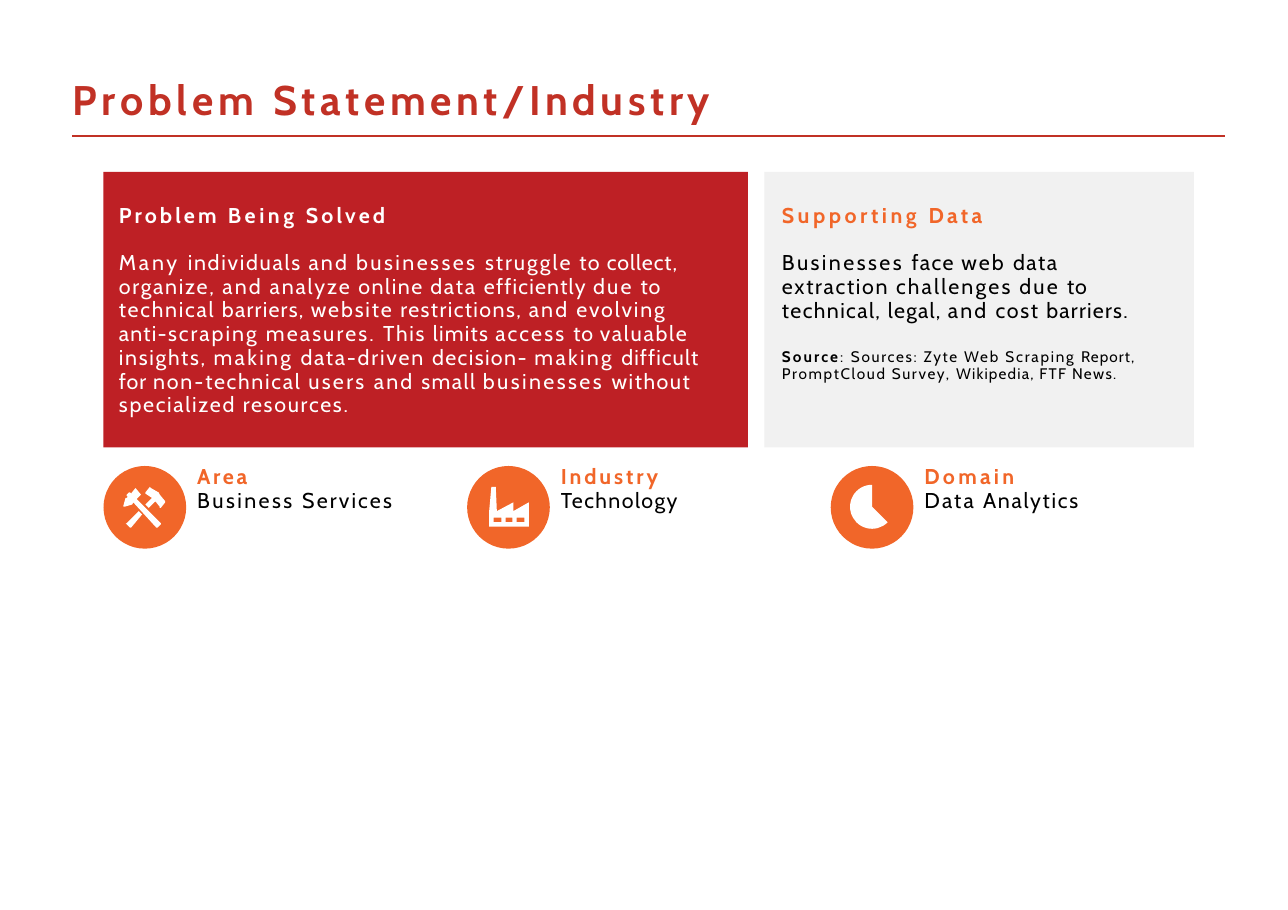
from dataclasses import dataclass
from typing import Optional

from lxml import etree
from pptx import Presentation
from pptx import util as u
from pptx.dml.color import RGBColor
from pptx.enum import shapes, text
from pptx.oxml.ns import qn

TITLE_RED = RGBColor(0xC1, 0x31, 0x25)
PANEL_RED = RGBColor(0xBE, 0x20, 0x25)
PANEL_GREY = RGBColor(0xF1, 0xF1, 0xF1)
ORANGE = RGBColor(0xF1, 0x66, 0x29)
WHITE = RGBColor(0xFF, 0xFF, 0xFF)
BLACK = RGBColor(0, 0, 0)
FONT = "Cabin"

WIDTH, HEIGHT = u.Inches(11.69), u.Inches(8.26)
PANEL_TOP, PANEL_ROWS = 18.89, 30.27
FACT_LEFT, FACT_STEP, FACT_TOP = 8.04, 28.23, 51.21
CIRCLE_COLS = 6.42
ICON_UNIT = u.Inches(0.01)


def col(n: float) -> u.Emu:
    """Length of n columns, of which the slide has 100."""
    return u.Emu(round(WIDTH * n / 100))


def row(n: float) -> u.Emu:
    """Length of n rows, of which the slide has 100."""
    return u.Emu(round(HEIGHT * n / 100))


@dataclass
class Run:
    words: str
    color: RGBColor
    spacing: float
    size: float = 14
    bold: bool = False


@dataclass
class Para:
    runs: list[Run]
    before: float = 0
    leading: Optional[float | u.Pt] = None


@dataclass
class Panel:
    left: float
    cols: float
    fill: RGBColor
    insets: tuple[float, float]
    paras: list[Para]


@dataclass
class Fact:
    label: Run
    value: list[Run]
    outlines: list[list[tuple[int, int]]]


def tracked(color: RGBColor, *pieces: tuple[str, float], size: float = 14,
            bold: bool = False) -> list[Run]:
    """Runs of one look, each with its own letter spacing in points."""
    return [Run(words, color, spacing, size, bold) for words, spacing in pieces]


PROBLEM = tracked(
    WHITE, ("Many ", 1.8), ("individuals ", 1.1), ("and ", 1.4), ("businesses ", 1.6),
    ("struggle ", 1.3), ("to ", 0.8), ("collect, ", 0.6), ("organize, ", 1.1), ("and", 1.4),
    (" analyze ", 1.2), ("online ", 1), ("data ", 1.2), ("efficiently ", 0.8), ("due ", 1.4),
    ("to ", 0.6), ("technical ", 1.1), ("barriers, ", 0.8), ("website ", 1.2),
    ("restrictions, ", 0.9), ("and ", 1.4), ("evolving ", 1.2), ("anti-", 0.8),
    ("scraping ", 1.3), ("measures. ", 1.4), ("This ", 1.1), ("limits ", 0.8),
    ("access ", 1.4), ("to ", 0.6), ("valuable insights, ", 1.1), ("making ", 1.5),
    ("data-", 1.1), ("driven ", 1.2), ("decision- ", 0.9), ("making ", 1.5),
    ("difficult ", 0.7), ("for ", 0.6), ("non-", 1.2), ("technical ", 1.1), ("users ", 1.5),
    ("and ", 1.4), ("small ", 0.9), ("businesses ", 1.6), ("without ", 1),
    ("specialized resources.", 1.1))
EVIDENCE = tracked(
    BLACK, ("Businesses ", 1.6), ("face ", 0.9), ("web ", 1.4), ("data ", 1),
    ("extraction ", 1.1), ("challenges due ", 1.4), ("to ", 0.6), ("technical, ", 0.9),
    ("legal, ", 0.8), ("and ", 1.4), ("cost ", 1.1), ("barriers.", 0.8))
SOURCES = tracked(
    BLACK, (": ", 1.4), ("Sources: Zyte ", 1.1), ("Web Scraping ", 1.2), ("Report, ", 0.7),
    ("PromptCloud Survey, ", 1.1), ("Wikipedia, FTF ", 0.8), ("News.", 0.9), size=10)

PANELS = [
    Panel(8.04, 50.04, PANEL_RED, (0.14, 0.36), [
        Para(tracked(WHITE, ("Problem ", 2), ("Being ", 2.3), ("Solved", 2), bold=True)),
        Para(PROBLEM, 15.9, 0.92)]),
    Panel(59.34, 33.36, PANEL_GREY, (0.16, 0.4), [
        Para(tracked(ORANGE, ("Supporting ", 2.3), ("Data", 2.1), bold=True)),
        Para(EVIDENCE, 14.9, u.Pt(15.8)),
        Para([Run("Source", BLACK, 1.4, 10, True), *SOURCES], 17.2, u.Pt(10.9))]),
]

# Icon outlines are in hundredths of an inch from the circle's top left corner.
TOOLS = [
    [(35, 44), (32, 41), (21, 52), (20, 52), (24, 56), (25, 56)],
    [(52, 52), (30, 30), (34, 26), (29, 20), (25, 25), (24, 24), (23, 24), (21, 26),
     (21, 27), (22, 28), (21, 29), (20, 29), (18, 36), (18, 37), (19, 37), (26, 35),
     (27, 33), (48, 56), (49, 56), (52, 53)],
    [(56, 33), (56, 32), (51, 26), (50, 24), (43, 20), (42, 19), (38, 24), (38, 25),
     (44, 29), (38, 35), (41, 38), (47, 32), (51, 37), (51, 38), (52, 38)],
]
FACTORY = [
    [(56, 55), (20, 55), (20, 41), (22, 19), (26, 19), (27, 41), (56, 41), (56, 47),
     (24, 47), (24, 51), (56, 51)],
    [(42, 41), (27, 41), (42, 33)],
    [(56, 41), (42, 41), (56, 33)],
    *[[(x, 47), (x + 4, 47), (x + 4, 51), (x, 51)] for x in (31, 41, 52)],
]

FACTS = [
    Fact(Run("Area", ORANGE, 1.7, bold=True),
         tracked(BLACK, ("Business ", 1.6), ("Services", 1.4)), TOOLS),
    Fact(Run("Industry", ORANGE, 1.9, bold=True),
         tracked(BLACK, ("Technology", 0.9)), FACTORY),
    Fact(Run("Domain", ORANGE, 2.1, bold=True),
         tracked(BLACK, ("Data ", 1.4), ("Analytics", 1.1)), []),
]


def write(sp, paras: list[Para], left: float = 0, top: float = 0, right: float = 0) -> None:
    """Fill a shape with left-aligned text; the insets are in inches."""
    tf = sp.text_frame
    tf.word_wrap = True
    tf.auto_size = text.MSO_AUTO_SIZE.NONE
    tf.vertical_anchor = text.MSO_ANCHOR.TOP
    tf.margin_left, tf.margin_top = u.Inches(left), u.Inches(top)
    tf.margin_right, tf.margin_bottom = u.Inches(right), 0
    for i, para in enumerate(paras):
        p = tf.add_paragraph() if i else tf.paragraphs[0]
        p.alignment = text.PP_ALIGN.LEFT
        p.space_before = u.Pt(para.before)
        if para.leading is not None:
            p.line_spacing = para.leading
        for run in para.runs:
            r = p.add_run()
            r.text = run.words
            r.font.name, r.font.size, r.font.bold = FONT, u.Pt(run.size), run.bold
            r.font.color.rgb = run.color
            r._r.get_or_add_rPr().set("spc", str(round(run.spacing * 100)))


def paint(sp, color: RGBColor) -> None:
    sp.shadow.inherit = False
    sp.fill.solid()
    sp.fill.fore_color.rgb = color
    sp.line.fill.background()


def add_title(s) -> None:
    sp = s.shapes.title
    sp.left, sp.top, sp.width, sp.height = col(5.47), row(7.99), col(55.77), row(5.81)
    runs = tracked(TITLE_RED, ("Problem ", 3.2), ("Statement/Industry", 3), size=27, bold=True)
    write(sp, [Para(runs)], left=0.02, top=0.01)
    rule = s.shapes.add_connector(shapes.MSO_CONNECTOR.STRAIGHT,
                                  col(5.62), row(14.92), col(95.13), row(14.92))
    rule.line.color.rgb = TITLE_RED
    rule.line.width = u.Pt(1.5)
    etree.SubElement(rule._element.spPr, qn("a:effectLst"))


def add_panel(s, panel: Panel) -> None:
    sp = s.shapes.add_shape(shapes.MSO_SHAPE.RECTANGLE, col(panel.left), row(PANEL_TOP),
                            col(panel.cols), row(PANEL_ROWS))
    paint(sp, panel.fill)
    left, right = panel.insets
    write(sp, panel.paras, left, 0.27, right)


def add_outlines(s, outlines: list[list[tuple[int, int]]], left: int, top: int) -> None:
    fb = s.shapes.build_freeform(*outlines[0][0], scale=ICON_UNIT)
    for i, points in enumerate(outlines):
        if i:
            fb.move_to(*points[0])
        fb.add_line_segments(points[1:], close=True)
    paint(fb.convert_to_shape(left, top), WHITE)


def add_pie(s, left: int, top: int) -> None:
    size = col(3.42)
    sp = s.shapes.add_shape(shapes.MSO_SHAPE.PIE, left + col(1.5), top + row(2.06), size, size)
    sp.adjustments[0], sp.adjustments[1] = 27, 162  # 45 and 270 degrees
    paint(sp, WHITE)


def add_fact(s, index: int, fact: Fact) -> None:
    left, top = col(FACT_LEFT + index * FACT_STEP), row(FACT_TOP)
    size = col(CIRCLE_COLS)
    paint(s.shapes.add_shape(shapes.MSO_SHAPE.OVAL, left, top, size, size), ORANGE)
    if fact.outlines:
        add_outlines(s, fact.outlines, left, top)
    else:
        add_pie(s, left, top)
    sp = s.shapes.add_textbox(left + col(7.19), row(50.73), col(18), row(5.81))
    write(sp, [Para(runs, leading=u.Pt(16.1)) for runs in ([fact.label], fact.value)],
          left=0.01, top=0.02)


def main() -> None:
    prs = Presentation()
    prs.slide_width, prs.slide_height = WIDTH, HEIGHT
    s = prs.slides.add_slide(prs.slide_layouts[5])
    add_title(s)
    for panel in PANELS:
        add_panel(s, panel)
    for index, fact in enumerate(FACTS):
        add_fact(s, index, fact)
    prs.save("out.pptx")


if __name__ == "__main__":
    main()
